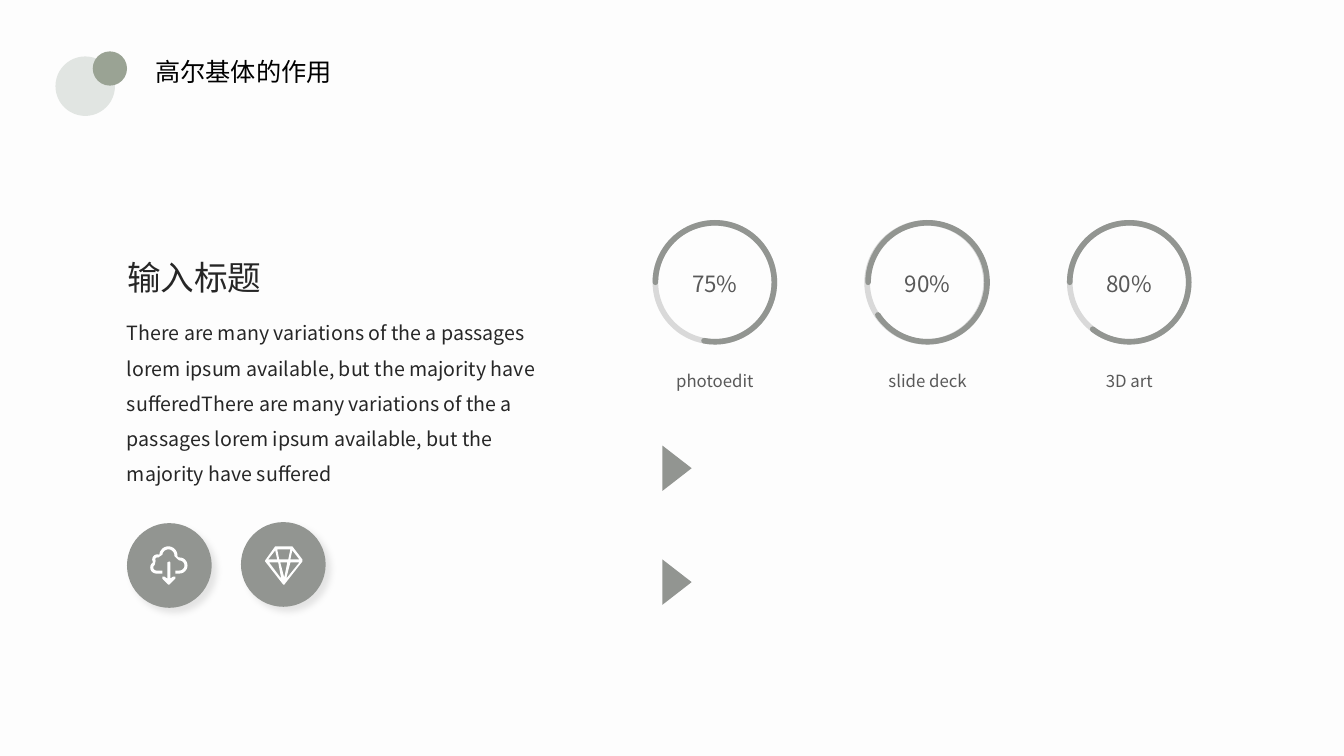
import math
from dataclasses import dataclass

import lxml.etree
import pptx
import pptx.dml.color
import pptx.enum.shapes
import pptx.enum.text
import pptx.oxml.ns
import pptx.util

PX = 9144  # EMU per px, 100 px to the inch
FONT = "Noto Sans CJK SC"
COLORS = {
    "paper": "FDFDFD", "black": "000000", "white": "FFFFFF",
    "mist": "E1E5E2", "sage": "9AA394", "accent": "929591",
    "track": "D9D9D9", "body": "262626", "label": "595959",
}
KIND = pptx.enum.shapes.MSO_SHAPE
ALIGN = pptx.enum.text.PP_ALIGN
ANCHOR = pptx.enum.text.MSO_ANCHOR
Point = tuple[float, float]


@dataclass(frozen=True)
class Box:
    left: int
    top: int
    width: int
    height: int

    def emu(self) -> list[int]:
        return [side * PX for side in (self.left, self.top, self.width, self.height)]


@dataclass(frozen=True)
class TextStyle:
    size: int
    color: str
    align: ALIGN = ALIGN.LEFT
    anchor: ANCHOR = ANCHOR.TOP
    spacing: float = 1.0
    wrap: bool = False
    padded: bool = True


@dataclass(frozen=True)
class Gauge:
    left: int
    arc_end: float
    percent: str
    skill: str
    track_shift: int = 0


@dataclass(frozen=True)
class Lobe:
    x: int
    y: int
    outer: int
    inner: int
    start: int
    end: int

    def points(self, radius: int) -> list[Point]:
        angles = [math.radians(self.start + (self.end - self.start) * i / 12) for i in range(13)]
        return [(self.x + radius * math.cos(a), self.y + radius * math.sin(a)) for a in angles]


GAUGES = [
    Gauge(650, 114.3, "75%", "photoedit"),
    Gauge(861, 142.02, "90%", "slide deck", track_shift=-1),
    Gauge(1061, 130.75, "80%", "3D art"),
]
CLOUD_LOBES = [
    Lobe(155, 563, 6, 3, 90, 239),
    Lobe(156, 555, 5, 2, 143, 292),
    Lobe(167, 551, 9, 6, 186, 366),
    Lobe(178, 561, 8, 5, 265, 450),
]
DOWN_ARROW = [(166, 558), (168, 557), (169, 558), (169, 574), (172, 572), (174, 572),
              (174, 574), (168, 580), (167, 580), (161, 574), (161, 572), (163, 572), (166, 574)]
DIAMOND = [
    [(273, 542), (290, 542), (300, 555), (300, 557), (282, 580), (281, 580), (263, 557), (263, 556)],
    [(288, 545), (286, 555), (277, 555), (275, 545)],
    [(273, 546), (275, 555), (266, 555)],
    [(267, 558), (276, 558), (279, 574)],
    [(282, 573), (278, 558), (285, 558)],
    [(284, 574), (288, 558), (297, 558)],
    [(288, 555), (290, 546), (297, 555)],
]
BODY_TEXT = ("There are many variations of the a passages lorem ipsum available, "
             "but the majority have sufferedThere are many variations of the a passages "
             "lorem ipsum available, but the majority have suffered")


def rgb(name: str) -> pptx.dml.color.RGBColor:
    return pptx.dml.color.RGBColor.from_string(COLORS[name])


def write(box, text: str, style: TextStyle) -> None:
    frame = box.text_frame
    frame.text = text
    frame.word_wrap = style.wrap
    frame.vertical_anchor = style.anchor
    if not style.padded:
        frame.margin_left = frame.margin_right = frame.margin_top = frame.margin_bottom = 0
    paragraph = frame.paragraphs[0]
    paragraph.alignment = style.align
    paragraph.line_spacing = style.spacing
    font = paragraph.runs[0].font
    font.size = pptx.util.Pt(style.size)
    font.name = FONT
    font.color.rgb = rgb(style.color)
    east_asian = lxml.etree.SubElement(paragraph.runs[0]._r.get_or_add_rPr(), pptx.oxml.ns.qn("a:ea"))
    east_asian.set("typeface", FONT)


def add_text(slide, box: Box, text: str, style: TextStyle) -> None:
    write(slide.shapes.add_textbox(*box.emu()), text, style)


def add_filled(slide, kind: KIND, box: Box, color: str, rotation: int = 0):
    shape = slide.shapes.add_shape(kind, *box.emu())
    shape.shadow.inherit = False
    shape.rotation = rotation
    shape.fill.solid()
    shape.fill.fore_color.rgb = rgb(color)
    shape.line.fill.background()
    return shape


def add_ring(slide, kind: KIND, box: Box, color: str):
    ring = slide.shapes.add_shape(kind, *box.emu())
    ring.shadow.inherit = False
    ring.rotation = 270
    ring.fill.background()
    ring.line.color.rgb = rgb(color)
    ring.line.width = pptx.util.Pt(4)
    return ring


def add_icon(slide, contours: list[list[Point]]) -> None:
    builder = None
    for contour in contours:
        first, *rest = [(round(x * PX), round(y * PX)) for x, y in contour]
        if builder is None:
            builder = slide.shapes.build_freeform(*first, scale=1.0)
        else:
            builder.move_to(*first)
        builder.add_line_segments(rest, close=True)
    icon = builder.convert_to_shape()
    icon.shadow.inherit = False
    icon.fill.solid()
    icon.fill.fore_color.rgb = rgb("white")
    icon.line.fill.background()


def add_badge(slide, box: Box) -> None:
    badge = add_filled(slide, KIND.OVAL, box, "accent")
    qn = pptx.oxml.ns.qn
    effects = badge._element.spPr.find(qn("a:effectLst"))
    shadow = lxml.etree.SubElement(effects, qn("a:outerShdw"), blurRad="63500", dist="63500",
                                   dir="2700000", algn="tl", rotWithShape="0")
    tone = lxml.etree.SubElement(shadow, qn("a:srgbClr"), val=COLORS["black"])
    lxml.etree.SubElement(tone, qn("a:alpha"), val="10000")


def add_gauge(slide, gauge: Gauge) -> None:
    size, top, label_width = 118, 221, 112
    add_ring(slide, KIND.OVAL, Box(gauge.left + gauge.track_shift, top, size, size), "track")
    arc = add_ring(slide, KIND.ARC, Box(gauge.left, top, size, size), "accent")
    arc.adjustments[0] = 162
    arc.adjustments[1] = gauge.arc_end
    arc.line._get_or_add_ln().set("cap", "rnd")
    label_left = gauge.left + (size - label_width) // 2
    add_text(slide, Box(label_left, 363, label_width, 30), gauge.skill,
             TextStyle(12, "label", ALIGN.CENTER))
    add_text(slide, Box(label_left, 263, label_width, 37), gauge.percent,
             TextStyle(16, "label", ALIGN.CENTER))


def cloud_outline() -> list[Point]:
    outer = [point for lobe in CLOUD_LOBES for point in lobe.points(lobe.outer)]
    inner = [point for lobe in CLOUD_LOBES for point in lobe.points(lobe.inner)]
    return [(161, 569), *outer, (174, 569), (174, 566), *reversed(inner), (161, 566)]


def main() -> None:
    deck = pptx.Presentation()
    deck.slide_width, deck.slide_height = 1333 * PX, 750 * PX
    slide = deck.slides.add_slide(deck.slide_layouts[5])
    slide.background.fill.solid()
    slide.background.fill.fore_color.rgb = rgb("paper")

    # Heading
    heading = slide.shapes.title
    heading.left, heading.top, heading.width, heading.height = Box(144, 51, 289, 64).emu()
    write(heading, "高尔基体的作用", TextStyle(18, "black"))
    add_filled(slide, KIND.OVAL, Box(55, 56, 59, 59), "mist")
    add_filled(slide, KIND.OVAL, Box(92, 51, 34, 34), "sage")

    # Icon badges
    add_badge(slide, Box(126, 519, 84, 84))
    add_icon(slide, [cloud_outline()])
    add_icon(slide, [DOWN_ARROW])
    add_badge(slide, Box(239, 518, 84, 84))
    add_icon(slide, DIAMOND)

    # Introduction
    add_text(slide, Box(126, 307, 427, 208), BODY_TEXT,
             TextStyle(14, "body", spacing=1.5, wrap=True, padded=False))
    add_text(slide, Box(126, 238, 135, 53), "输入标题",
             TextStyle(24, "body", anchor=ANCHOR.MIDDLE, spacing=1.5, padded=False))

    # Skill gauges
    for gauge in GAUGES:
        add_gauge(slide, gauge)

    # Pointers
    for top in (450, 563):
        add_filled(slide, KIND.ISOSCELES_TRIANGLE, Box(649, top, 45, 29), "accent", rotation=90)

    deck.save("out.pptx")


if __name__ == "__main__":
    main()
